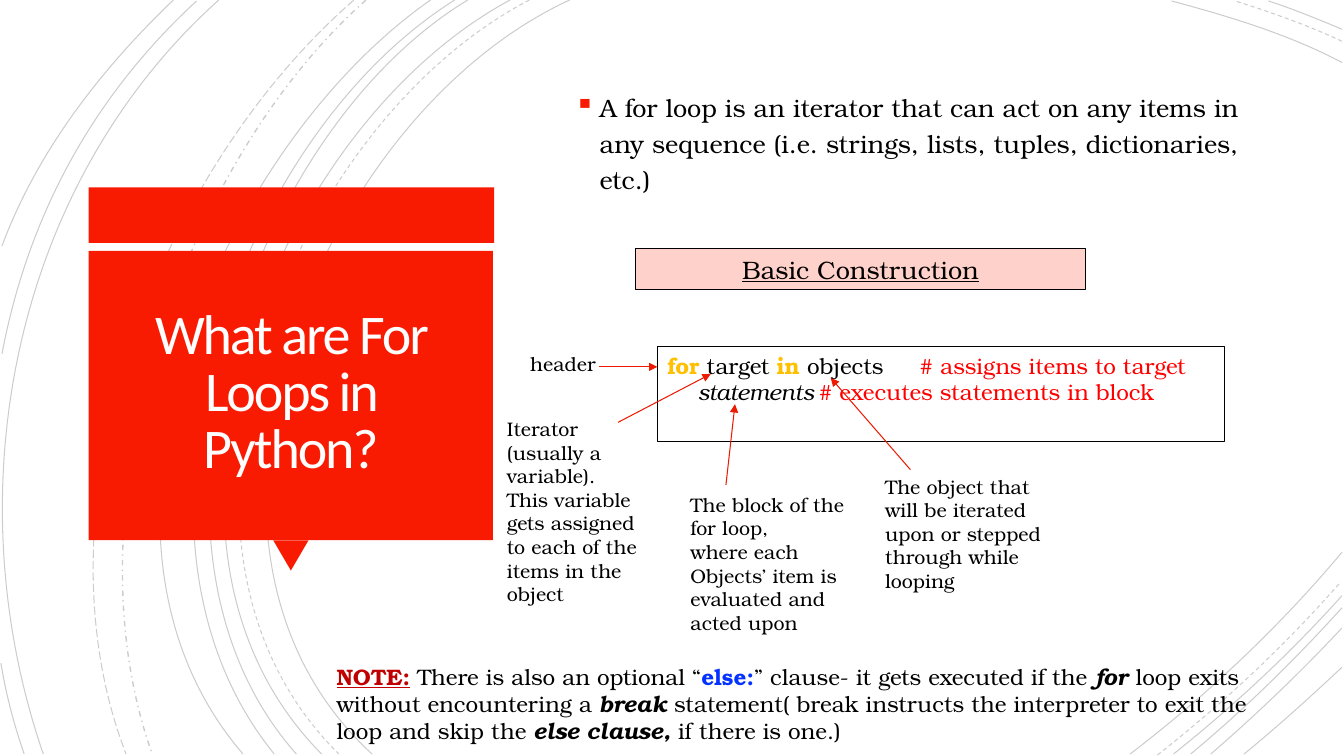
"""Build the slide that explains Python for loops."""
from dataclasses import dataclass
from typing import NamedTuple, Optional

from lxml import etree
from pptx import Presentation
from pptx import util as u
from pptx.dml.color import RGBColor
from pptx.enum import dml, shapes, text
from pptx.oxml import ns

COLUMNS, ROWS = 133.3, 75
CELL = u.Inches(0.1)
SERIF, SANS = "TeX Gyre Bonum", "Calibri"
RED, ARROW_RED, PINK, BLACK = "F81B02", "ED1A02", "FFD1CB", "000000"
GOLD, COMMENT_RED, NOTE_RED, BLUE, WHITE = "FFC000", "FF0000", "C00000", "0432FF", "FFFEFF"
DASH = dml.MSO_LINE.DASH
DASH_DOT = dml.MSO_LINE.DASH_DOT
LONG_DASH = dml.MSO_LINE.LONG_DASH
RECTANGLE = shapes.MSO_SHAPE.RECTANGLE
TRIANGLE = shapes.MSO_SHAPE.ISOSCELES_TRIANGLE
CENTER = text.PP_ALIGN.CENTER
MIDDLE = text.MSO_ANCHOR.MIDDLE


class Area(NamedTuple):
    left: float
    top: float
    width: float
    height: float


class Arc(NamedTuple):
    start: tuple
    first: tuple
    second: tuple
    end: tuple
    dash: Optional[dml.MSO_LINE] = None
    weight: float = 0.75


class Span(NamedTuple):
    words: str
    look: dict = {}


@dataclass
class Para:
    spans: list
    align: text.PP_ALIGN = text.PP_ALIGN.LEFT
    leading: Optional[float] = None
    before: float = 0
    margin: float = 0
    indent: float = 0
    tab: float = 0
    bullet: str = ""


@dataclass
class Block:
    area: Area
    paras: list
    size: float = 14
    font: str = SERIF
    color: str = BLACK
    fill: str = ""
    line: str = ""
    inset: tuple = (1, 0.5)
    anchor: text.MSO_ANCHOR = text.MSO_ANCHOR.TOP
    grow: bool = True
    tracking: float = 0


ARCS = [
    Arc((56.5, 0), (31.5, 11.5), (14.3, 54), (36.9, 74.8)),
    Arc((133.1, 6.2), (127.8, 3.4), (121.8, 1.6), (116.2, 0.1)),
    Arc((112.1, 74.8), (119.7, 69), (126.9, 62.2), (133.1, 54.8)),
    Arc((52.5, 0), (28.5, 12.5), (12.3, 53.7), (33.6, 74.8), DASH),
    Arc((133.1, 4.1), (129.7, 2.5), (126, 1.2), (122.5, 0.1), DASH),
    Arc((114.8, 74.9), (121.3, 69.8), (127.5, 64), (133, 57.7), DASH),
    Arc((50.6, 0), (27, 12.7), (11, 53.7), (31.9, 74.8)),
    Arc((133.1, 2.9), (130.7, 1.9), (128.3, 0.9), (125.8, 0.1)),
    Arc((116.4, 74.8), (122.3, 70.1), (128, 64.8), (133.1, 59.1)),
    Arc((46.4, 0), (24.4, 13.3), (11, 54.1), (29.4, 74.8)),
    Arc((118.1, 74.8), (123.4, 70.4), (128.4, 65.5), (133.1, 60.3)),
    Arc((45.1, 0), (23.1, 13.8), (9.7, 53.3), (27.2, 74.8)),
    Arc((120.1, 74.8), (124.6, 70.9), (129, 66.7), (133.1, 62.3)),
    Arc((42.7, 0), (21.7, 14.7), (5.3, 52.9), (24.1, 74.8)),
    Arc((123.4, 74.8), (126.7, 72.1), (129.9, 69.2), (133.1, 66.2)),
    Arc((36.3, 0), (17.6, 16.6), (6.5, 50.9), (15.1, 74.8), DASH_DOT, 1),
    Arc((35.1, 0), (15.7, 16.9), (2.9, 49.9), (12.5, 74.8), LONG_DASH),
    Arc((21.7, 0), (1.1, 18.5), (-4.6, 49), (4.3, 74.8)),
    Arc((19.5, 0.1), (9.2, 9.6), (2.8, 21.4), (0.2, 35.1)),
    Arc((0.1, 65.8), (0.6, 68.9), (1.4, 71.9), (2.4, 74.8)),
    Arc((17.2, 0), (10, 6.9), (3.7, 15), (0.2, 24.4)),
]
PANELS = [
    (RECTANGLE, Area(8.8, 18.6, 40.2, 5.5), 0),
    (TRIANGLE, Area(27.1, 53.6, 3.5, 3), 180),
    (RECTANGLE, Area(8.8, 24.9, 40.1, 28.7), 0),
]
ARROWS = [
    ((59.4, 36.4), (65.2, 36.4)),
    ((61.3, 41.9), (70.5, 37.1)),
    ((90.3, 46.6), (82.4, 37.5)),
    ((72, 48.1), (72.9, 40.1)),
]
STRONG = {"bold": True, "italic": True}
BLOCKS = [
    Block(Area(9.7, 25.7, 38.3, 26.9),
          [Para([Span("What are For Loops in Python?")], CENTER, 0.85)],
          40, SANS, WHITE, inset=(2.5, 2.5), anchor=MIDDLE, grow=False, tracking=-1.5),
    Block(Area(56, 8.8, 68.7, 10.3),
          [Para([Span("A for loop is an iterator that can act on any items in any sequence "
                      "(i.e. strings, lists, tuples, dictionaries, etc.)")],
                leading=1.2, before=10, margin=2.5, indent=-2.5, bullet="▪")],
          18, anchor=MIDDLE, grow=False),
    Block(Area(63, 24.7, 44.7, 4),
          [Para([Span("Basic Construction", {"underline": True})], CENTER)],
          18, fill=PINK, line=BLACK),
    Block(Area(65.2, 34.4, 56.3, 9.4), [
        Para([Span("for", {"bold": True, "color": GOLD}), Span(" target "),
              Span("in", {"bold": True, "color": GOLD}), Span(" objects\t"),
              Span("# assigns items to target", {"color": COMMENT_RED})], tab=24.4),
        Para([Span("statements\t", {"italic": True}),
              Span("# executes statements in block", {"color": COMMENT_RED})],
             indent=3, tab=25.9)], 16, line=BLACK),
    Block(Area(51.6, 34.4, 9, 3.4), [Para([Span("header")])]),
    Block(Area(49.3, 40.9, 17, 17.5), [
        Para([Span("Iterator (usually a variable).")]),
        Para([Span("This variable gets assigned to each of the items in the object")])]),
    Block(Area(86.8, 46.6, 19.5, 10.4), [
        Para([Span("The object that will be iterated upon or stepped through while looping")])]),
    Block(Area(67.5, 48.4, 18, 15.1), [
        Para([Span("The block of the for loop,")]), Para([Span("where each")]),
        Para([Span("Objects’ item is evaluated and acted upon")])]),
    Block(Area(32.4, 65.3, 92.4, 9.1), [Para([
        Span("NOTE:", {"bold": True, "underline": True, "color": NOTE_RED}),
        Span(" There is also an optional “"),
        Span("else:", {"bold": True, "color": BLUE}),
        Span("” clause- it gets executed if the "), Span("for ", STRONG),
        Span("loop exits without encountering a "), Span("break", STRONG),
        Span(" statement( break instructs the interpreter to exit the loop and skip the "),
        Span("else clause, ", STRONG), Span("if there is one.)")])], 16),
]


def cells(*counts: float) -> list:
    """Turn counts of grid cells into lengths."""
    return [u.Emu(round(count * CELL)) for count in counts]


def paint(fmt, color: str) -> None:
    """Give a fill one solid colour, or none."""
    if color:
        fmt.solid()
        fmt.fore_color.rgb = RGBColor.from_string(color)
    else:
        fmt.background()


def child(parent, tag: str, **attributes: str):
    """Append a DrawingML element."""
    return etree.SubElement(parent, ns.qn(tag), attributes)


def add_arc(page, arc: Arc) -> None:
    """Draw a faint open Bézier curve."""
    points = [tuple(cells(*point)) for point in arc[:4]]
    builder = page.shapes.build_freeform(*points[0])
    builder.add_line_segments(points[1:], close=False)
    shape = builder.convert_to_shape()
    shape.shadow.inherit = False
    paint(shape.fill, "")
    paint(shape.line.fill, BLACK)
    shape.line.width = u.Pt(arc.weight)
    if arc.dash:
        shape.line.dash_style = arc.dash
    child(next(shape.line.fill._xPr.iter(ns.qn("a:srgbClr"))), "a:alpha", val="20000")
    outline = next(shape._element.iter(ns.qn("a:path")))
    curve = child(outline, "a:cubicBezTo")
    for step in outline.findall(ns.qn("a:lnTo")):
        curve.append(step[0])
        outline.remove(step)


def add_panel(page, kind, area: Area, fill: str, line: str = "", turn: float = 0):
    """Draw a flat preset shape."""
    shape = page.shapes.add_shape(kind, *cells(*area))
    shape.shadow.inherit = False
    shape.rotation = turn
    paint(shape.fill, fill)
    paint(shape.line.fill, line)
    if line:
        shape.line.width = u.Pt(0.75)
    return shape


def add_arrow(page, start: tuple, end: tuple) -> None:
    """Draw a straight arrow."""
    arrow = page.shapes.add_connector(shapes.MSO_CONNECTOR.STRAIGHT, *cells(*start, *end))
    paint(arrow.line.fill, ARROW_RED)
    arrow.line.width = u.Pt(0.75)
    child(arrow.line._get_or_add_ln(), "a:tailEnd", type="triangle")
    child(arrow._element.spPr, "a:effectLst")


def add_span(para, words: str, *, size: float, font: str, color: str, bold: bool = False,
             italic: bool = False, underline: bool = False, tracking: float = 0) -> None:
    """Add formatted text to a paragraph."""
    span = para.add_run()
    span.text = words
    span.font.size, span.font.name = u.Pt(size), font
    span.font.bold, span.font.italic, span.font.underline = bold, italic, underline
    paint(span.font.fill, color)
    if tracking:
        span.font._element.set("spc", str(round(tracking * 100)))


def set_layout(para, plan: Para) -> None:
    """Set alignment, spacing, indents, bullet and tab stop."""
    para.alignment, para.space_before = plan.align, u.Pt(plan.before)
    if plan.leading:
        para.line_spacing = plan.leading
    props = para._p.get_or_add_pPr()
    margin, indent = cells(plan.margin, plan.indent)
    props.set("marL", str(margin))
    props.set("indent", str(indent))
    if plan.bullet:
        child(child(props, "a:buClr"), "a:srgbClr", val=RED)
        child(props, "a:buSzPct", val="110000")
        child(props, "a:buChar", char=plan.bullet)
    if plan.tab:
        child(child(props, "a:tabLst"), "a:tab", pos=str(cells(plan.tab)[0]), algn="l")


def add_block(page, block: Block) -> None:
    """Draw a text block, framed where it has a line."""
    if block.line:
        box = add_panel(page, RECTANGLE, block.area, block.fill, block.line)
    else:
        box = page.shapes.add_textbox(*cells(*block.area))
    frame = box.text_frame
    frame.word_wrap, frame.vertical_anchor = True, block.anchor
    fit = text.MSO_AUTO_SIZE
    frame.auto_size = fit.SHAPE_TO_FIT_TEXT if block.grow else fit.NONE
    frame.margin_left, frame.margin_top = cells(*block.inset)
    frame.margin_right, frame.margin_bottom = cells(*block.inset)
    for index, plan in enumerate(block.paras):
        para = frame.add_paragraph() if index else frame.paragraphs[0]
        set_layout(para, plan)
        for words, look in plan.spans:
            base = {"size": block.size, "font": block.font, "color": block.color}
            add_span(para, words, **{**base, "tracking": block.tracking, **look})


def main() -> None:
    """Build and save the deck."""
    deck = Presentation()
    deck.slide_width, deck.slide_height = cells(COLUMNS, ROWS)
    page = deck.slides.add_slide(deck.slide_layouts[6])
    for arc in ARCS:
        add_arc(page, arc)
    for kind, area, turn in PANELS:
        add_panel(page, kind, area, RED, turn=turn)
    for block in BLOCKS:
        add_block(page, block)
    for start, end in ARROWS:
        add_arrow(page, start, end)
    deck.save("out.pptx")


if __name__ == "__main__":
    main()
